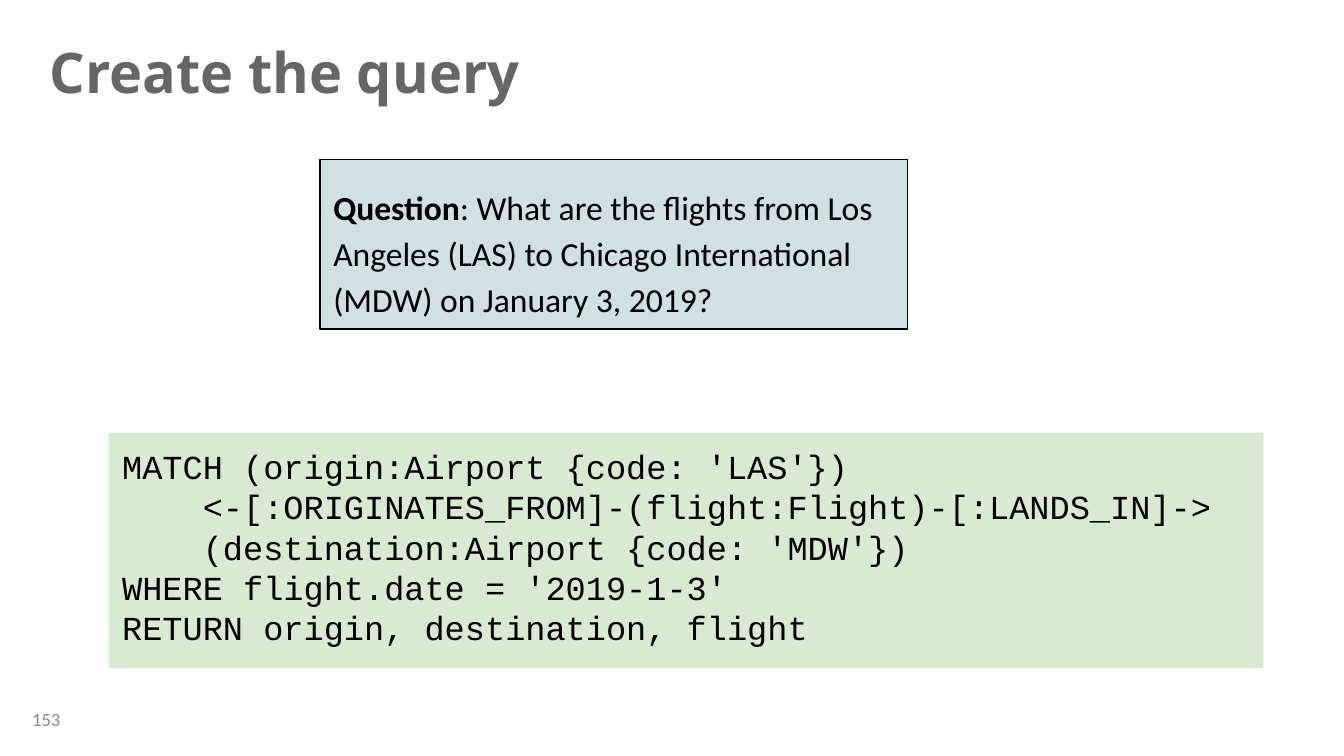
"""Build the "Create the query" slide."""
from pptx import Presentation
from pptx.dml.color import RGBColor
from pptx.enum.shapes import MSO_SHAPE as SHAPE
from pptx.enum.text import MSO_ANCHOR as ANCHOR, PP_ALIGN as ALIGN
from pptx.util import Cm, Pt

COLORS = {"text": "000000", "title": "666666", "number": "8B8B8B",
          "code": "D9EAD3", "question": "D0E0E3"}

CODE = [
    "MATCH (origin:Airport {code: 'LAS'})",
    "    <-[:ORIGINATES_FROM]-(flight:Flight)-[:LANDS_IN]->",
    "    (destination:Airport {code: 'MDW'})",
    "WHERE flight.date = '2019-1-3'",
    "RETURN origin, destination, flight",
]
QUESTION = [
    ("Question", True),
    (": What are the flights from Los Angeles (LAS) to Chicago International "
     "(MDW) on January 3, 2019?", False),
]

BOXES = [
    dict(at=(2.06, 8.18, 21.82, 4.45), fill="code", pad=(0.25, 0.25),
         paras=[[(line, False)] for line in CODE], font="Courier New", size=18),
    dict(at=(6.05, 3.02, 11.1, 3.2), fill="question", line="text",
         pad=(0.46, 0.25), paras=[QUESTION], font="Calibri", size=18,
         anchor=ANCHOR.MIDDLE, spacing=1.15),
    dict(at=(0.69, 0.58, 22.45, 1.55), pad=(0.13, 0.13),
         paras=[[("Create the query", True)]],
         font="Open Sans", size=30, color="title"),
    dict(at=(0.28, 13.21, 1.19, 0.76), pad=(0, 0), paras=[[("153", False)]],
         font="Calibri", size=10, color="number",
         anchor=ANCHOR.MIDDLE, align=ALIGN.CENTER),
]


def rgb(name):
    return RGBColor.from_string(COLORS[name])


def add_box(s, at, pad, paras, font, size, color="text", fill=None, line=None,
            anchor=ANCHOR.TOP, align=ALIGN.LEFT, spacing=None):
    place = [Cm(v) for v in at]
    if fill:
        sp = s.shapes.add_shape(SHAPE.RECTANGLE, *place)
        sp.shadow.inherit = False
        sp.fill.solid()
        sp.fill.fore_color.rgb = rgb(fill)
        if line:
            sp.line.color.rgb = rgb(line)
            sp.line.width = Pt(0.75)
        else:
            sp.line.fill.background()
    else:
        sp = s.shapes.add_textbox(*place)
    tf = sp.text_frame
    tf.word_wrap = True
    tf.vertical_anchor = anchor
    tf.margin_left = tf.margin_right = Cm(0.25)
    tf.margin_top, tf.margin_bottom = (Cm(v) for v in pad)
    for i, runs in enumerate(paras):
        p = tf.add_paragraph() if i else tf.paragraphs[0]
        p.alignment = align
        p.line_spacing = spacing
        for text, bold in runs:
            r = p.add_run()
            r.text = text
            r.font.name = font
            r.font.size = Pt(size)
            r.font.bold = bold
            r.font.color.rgb = rgb(color)


def main():
    prs = Presentation()
    prs.slide_width, prs.slide_height = Cm(25.4), Cm(14.29)
    s = prs.slides.add_slide(prs.slide_layouts[6])
    for box in BOXES:
        add_box(s, **box)
    prs.save("out.pptx")


if __name__ == "__main__":
    main()
